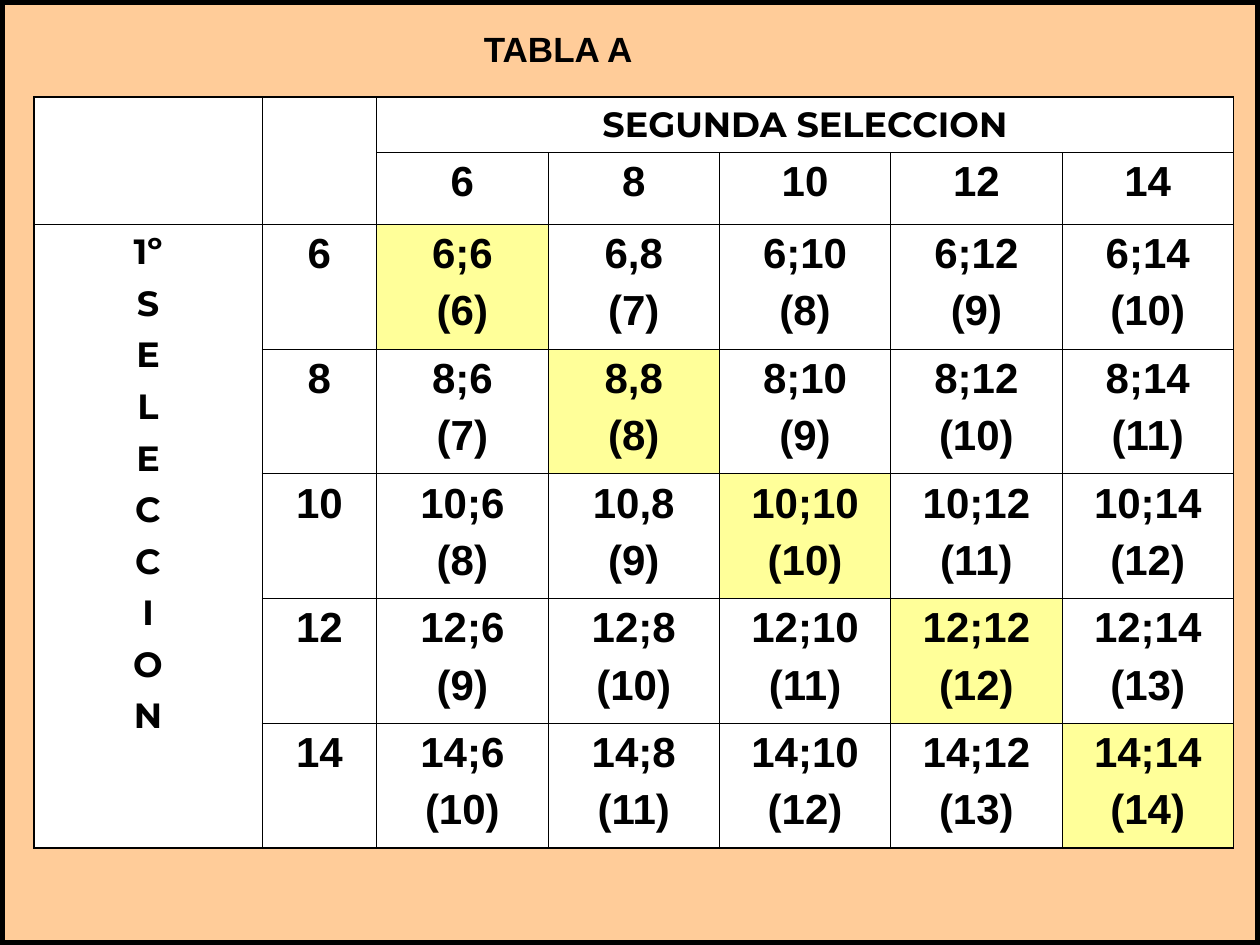
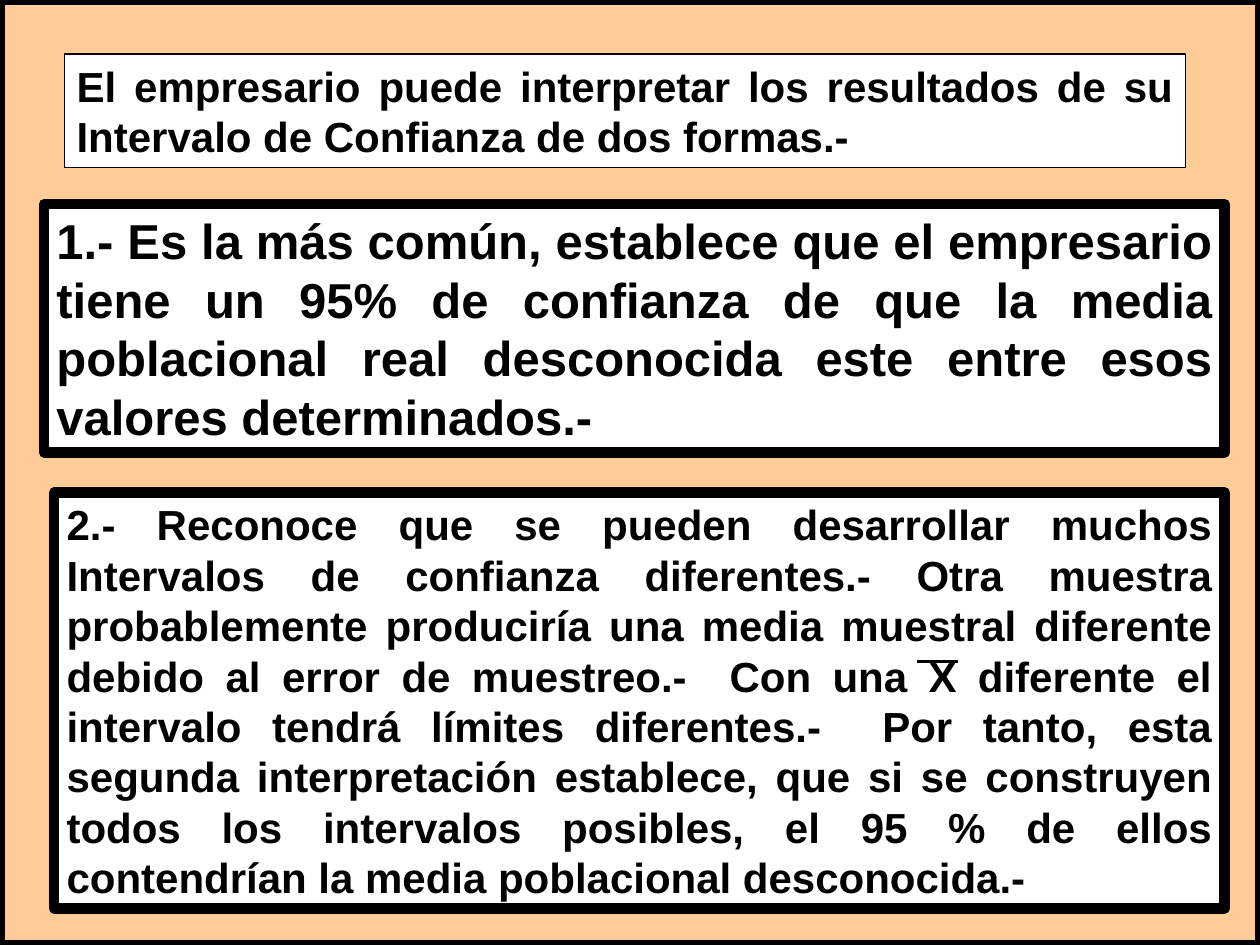
from lxml import etree
from pptx import Presentation
from pptx.dml.color import RGBColor
from pptx.enum.shapes import MSO_CONNECTOR, MSO_SHAPE
from pptx.enum.text import MSO_ANCHOR, MSO_AUTO_SIZE, PP_ALIGN
from pptx.oxml import parse_xml
from pptx.oxml.ns import nsdecls, qn
from pptx.util import Inches, Pt

RECT = MSO_SHAPE.RECTANGLE
LEFT, CENTER, JUSTIFY = PP_ALIGN.LEFT, PP_ALIGN.CENTER, PP_ALIGN.JUSTIFY
BLACK, WHITE, PEACH, YELLOW = "000000", "FFFFFF", "FFCC99", "FFFF99"
THIN, THICK = 0.45, 1.08
TITLE_ONLY, BLANK = 5, 6


def paint(fill, color):
    fill.solid()
    fill.fore_color.rgb = RGBColor.from_string(color)


def write(tf, text, size=24, font="Arial", align=CENTER, space=6):
    """Write one bold black paragraph per line of text, with space between them."""
    tf.word_wrap = True
    for i, line in enumerate(text.split("\n")):
        p = tf.add_paragraph() if i else tf.paragraphs[0]
        p.alignment = align
        p.space_before = Pt(space if i else 0)
        r = p.add_run()
        r.text = line
        r.font.size, r.font.name, r.font.bold = Pt(size), font, True
        paint(r.font.fill, BLACK)


prs = Presentation()
prs.slide_width, prs.slide_height = Inches(10), Inches(7.5)
table_slide = prs.slides.add_slide(prs.slide_layouts[TITLE_ONLY])
text_slide = prs.slides.add_slide(prs.slide_layouts[BLANK])

# Framed background of every slide
for slide in prs.slides:
    boxes = [(0, 0, 10, 7.5, PEACH, 6, 0, "")]
    if slide == text_slide:
        boxes += [
            (0.51, 0.43, 8.9, 0.9, WHITE, 0.75, 24,
             "El empresario puede interpretar los resultados de su Intervalo de "
             "Confianza de dos formas.-"),
            (0.35, 1.62, 9.37, 1.97, WHITE, 6, 28,
             "1.- Es la más común, establece que el empresario tiene un 95% de "
             "confianza de que la media poblacional real desconocida este entre "
             "esos valores determinados.-"),
            (0.43, 3.91, 9.29, 3.3, WHITE, 6, 24,
             "2.- Reconoce que se pueden desarrollar muchos Intervalos de "
             "confianza diferentes.- Otra muestra probablemente produciría una "
             "media muestral diferente debido al error de muestreo.-  Con una X "
             "diferente el intervalo tendrá límites diferentes.-  Por tanto, esta "
             "segunda interpretación establece, que si se construyen todos los "
             "intervalos posibles, el 95 % de ellos contendrían la media "
             "poblacional desconocida.-"),
        ]
    for left, top, width, height, color, weight, size, text in boxes:
        sp = slide.shapes.add_shape(RECT, Inches(left), Inches(top),
                                    Inches(width), Inches(height))
        sp.shadow.inherit = False
        paint(sp.fill, color)
        paint(sp.line.fill, BLACK)
        sp.line.width = Pt(weight)
        if text:
            sp.text_frame.vertical_anchor = MSO_ANCHOR.TOP
            write(sp.text_frame, text, size, align=JUSTIFY)
        else:
            slide.shapes._spTree.insert(2, sp._element)  # behind the title

# Slide 1: title and table of sample pairs with their means
title = table_slide.shapes.title
title.left, title.top = Inches(3.74), Inches(0.17)
title.width, title.height = Inches(2.28), Inches(0.44)
title.text_frame.vertical_anchor = MSO_ANCHOR.TOP
title.text_frame.auto_size = MSO_AUTO_SIZE.NONE
write(title.text_frame, "TABLA A", 20, align=LEFT)

values = [6, 8, 10, 12, 14]
col_widths = [1.81, 0.91] + [1.36] * 5
row_heights = [0.44, 0.57] + [0.99] * 5
n_rows, n_cols = len(row_heights), len(col_widths)
table = table_slide.shapes.add_table(
    n_rows, n_cols, Inches(0.27), Inches(0.77),
    Inches(sum(col_widths)), Inches(sum(row_heights))).table
table.first_row = table.horz_banding = False
for column, width in zip(table.columns, col_widths):
    column.width = Inches(width)
for row, height in zip(table.rows, row_heights):
    row.height = Inches(height)

for first, last in [((0, 0), (1, 0)), ((0, 1), (1, 1)), ((0, 2), (0, 6)), ((2, 0), (6, 0))]:
    table.cell(*first).merge(table.cell(*last))

for row in range(n_rows):
    for col in range(n_cols):
        cell = table.cell(row, col)
        on_edge = {"L": col == 0, "R": col + cell.span_width == n_cols,
                   "T": row == 0, "B": row + cell.span_height == n_rows}
        tcPr = cell._tc.get_or_add_tcPr()
        for side, outer in on_edge.items():
            ln = etree.SubElement(tcPr, qn(f"a:ln{side}"), w=str(Pt(THICK if outer else THIN)))
            ln.append(parse_xml(f'<a:solidFill {nsdecls("a")}><a:srgbClr val="{BLACK}"/></a:solidFill>'))
        paint(cell.fill, YELLOW if row == col >= 2 else WHITE)

write(table.cell(0, 2).text_frame, "SEGUNDA SELECCION", 20, "Montserrat")
write(table.cell(2, 0).text_frame, "\n".join(["1º", *"SELECCION"]), 20, "Montserrat", space=5)
for i, first in enumerate(values, 2):
    write(table.cell(1, i).text_frame, str(first))
    write(table.cell(i, 1).text_frame, str(first))
    for j, second in enumerate(values, 2):
        sep = "," if second == 8 and first <= 10 else ";"
        write(table.cell(i, j).text_frame, f"{first}{sep}{second}\n({(first + second) // 2})")

# Slide 2: bar over the X of the sample mean
bar = text_slide.shapes.add_connector(MSO_CONNECTOR.STRAIGHT, Inches(7.28), Inches(5.25),
                                      Inches(7.6), Inches(5.25))
paint(bar.line.fill, BLACK)
bar.line.width = Pt(2.25)
etree.SubElement(bar._element.spPr, qn("a:effectLst"))

prs.save("out.pptx")
